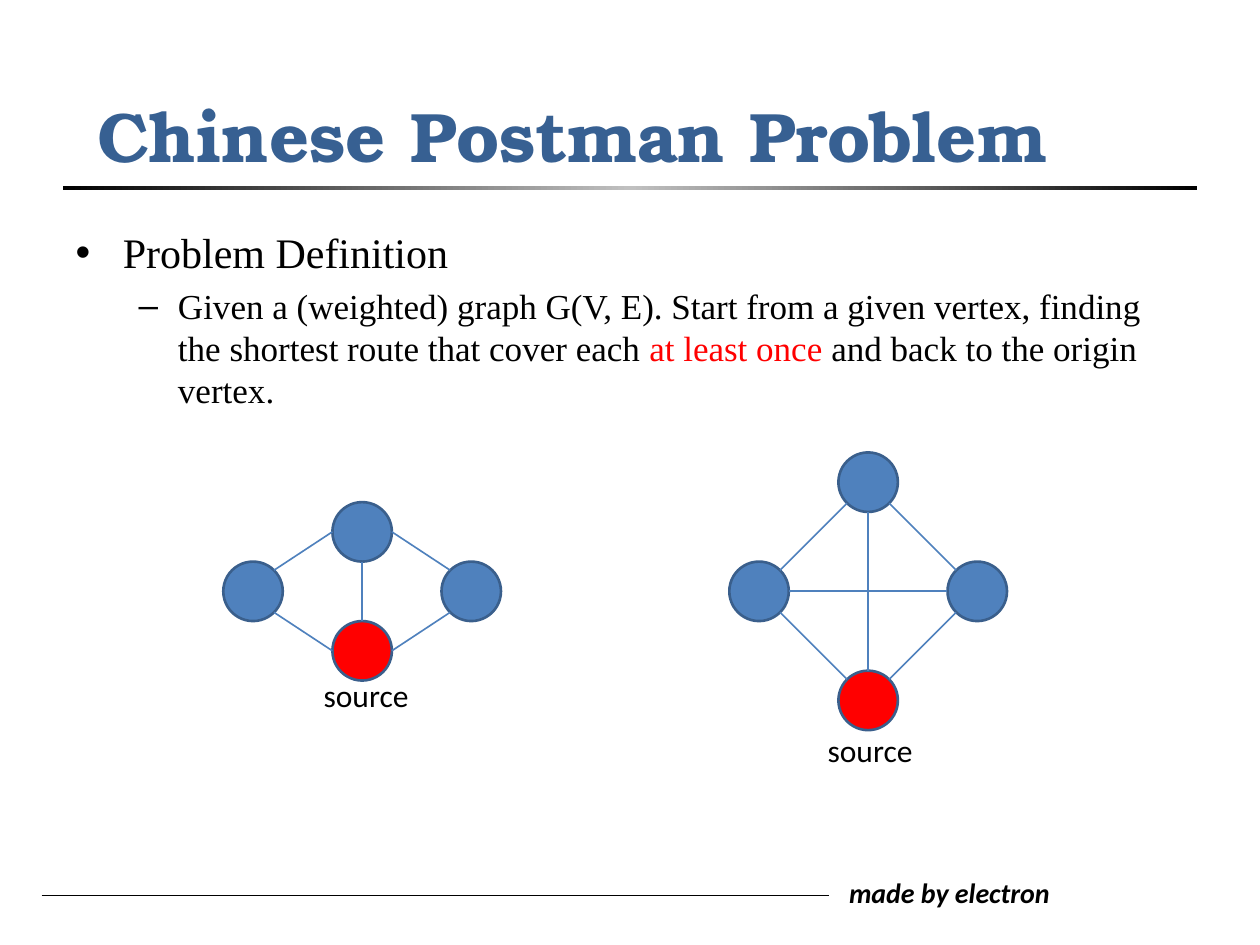
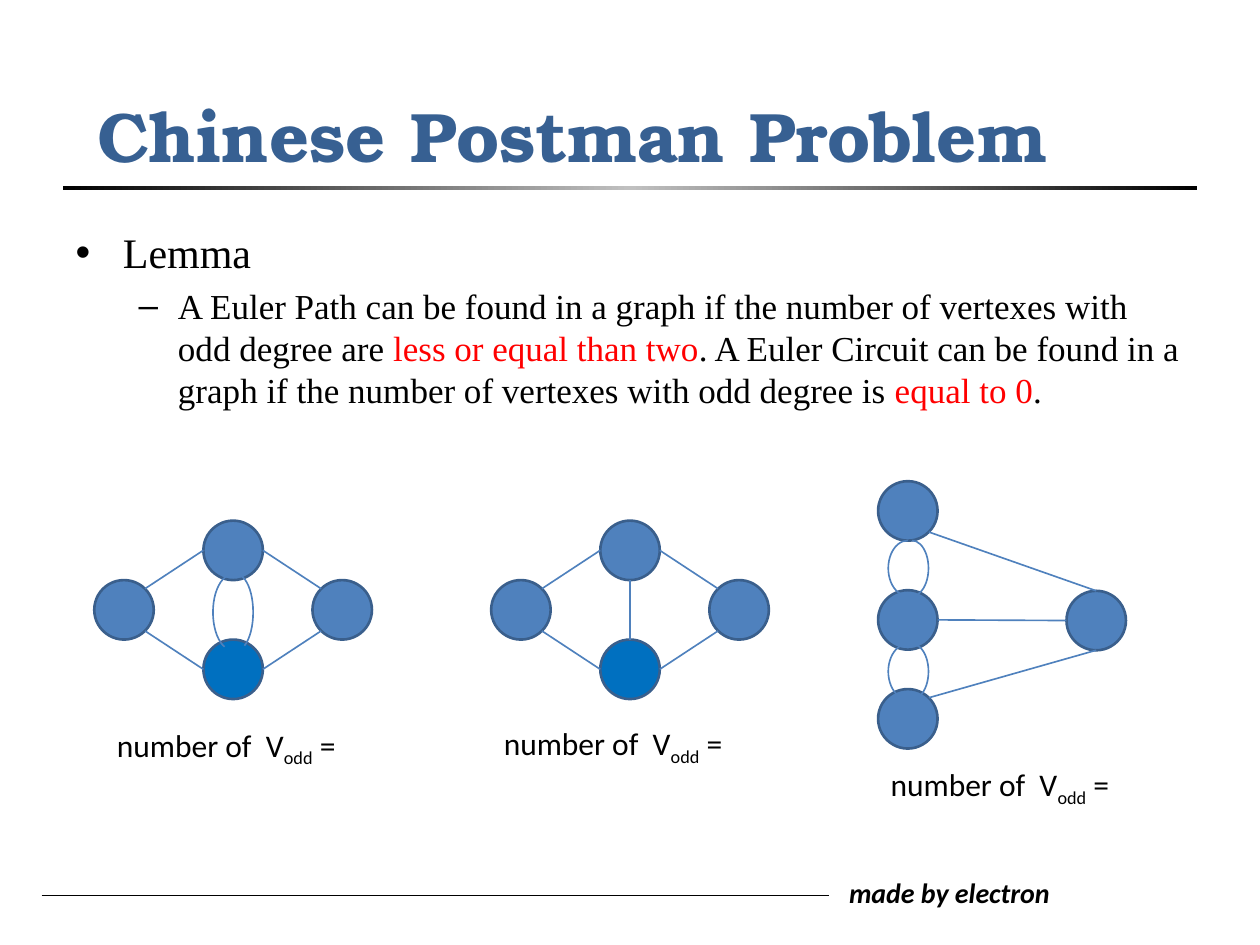
import copy

import pptx
import pptx.dml.color
import pptx.enum.shapes
import pptx.enum.text
import pptx.oxml.ns
import pptx.util
from lxml import etree

RGBColor = pptx.dml.color.RGBColor
SHAPE = pptx.enum.shapes.MSO_SHAPE
FIT = pptx.enum.text.MSO_AUTO_SIZE

BLACK = RGBColor(0x00, 0x00, 0x00)
SILVER = RGBColor(0xC0, 0xC0, 0xC0)
RED = RGBColor(0xFF, 0x00, 0x00)
NAVY = RGBColor(0x37, 0x60, 0x92)
BLUE = RGBColor(0x4F, 0x81, 0xBD)
RIM = RGBColor(0x3A, 0x5F, 0x8C)
AZURE = RGBColor(0x00, 0x70, 0xC0)

TITLE_FONT, BODY_FONT, LABEL_FONT = "TeX Gyre Bonum", "Times New Roman", "Calibri"

# The slide is a grid of 100 columns by 75 rows; all lengths count its cells.
COLUMNS, ROWS = 100, 75
CELL = pptx.util.Inches(10) // COLUMNS
NODE = 4.72
EDGE_WIDTH = 0.94

TITLE = "Chinese Postman Problem"
FOOTER = "made by electron"
TITLE_AREA = (0.4, 4.4, 90, 12.5)
SOURCE = [("source", False)]
ODD_COUNT = [("number of  V", False), ("odd", True), (" =", False)]

# Compass points on a circle of radius 1.
COMPASS = {"N": (0, -1), "S": (0, 1), "W": (-1, 0), "E": (1, 0),
           "NW": (-0.71, -0.71), "NE": (0.71, -0.71),
           "SW": (-0.71, 0.71), "SE": (0.71, 0.71)}

# Edges: node, its compass point, other node, its compass point.
FLAT_RIM = [("left", "NE", "top", "W"), ("left", "SE", "bottom", "W"),
            ("top", "E", "right", "NW"), ("bottom", "E", "right", "SW")]
TALL_RIM = [("left", "NE", "top", "SW"), ("left", "SE", "bottom", "NW"),
            ("top", "SE", "right", "NW"), ("bottom", "NE", "right", "SW")]
UPRIGHT = [("top", "S", "bottom", "N")]
ACROSS = [("left", "E", "right", "W")]
FAN = [("middle", "E", "right", "W"), ("top", "SE", "right", "N"),
       ("bottom", "NE", "right", "S")]


def diamond(column, row, half_height):
    """Return four named node centres around a middle point."""
    half_width = 8.66
    return {"left": (column - half_width, row), "top": (column, row - half_height),
            "right": (column + half_width, row), "bottom": (column, row + half_height)}


# Loops are pairs of arcs: centre column, top row, height.
PAGES = [
    {"points": [("Problem Definition", 0, []),
                ("Given a (weighted) graph G(V, E). Start from a given vertex, finding "
                 "the shortest route that cover each |at least once |"
                 "and back to the origin vertex.", 1, [1])],
     "body": (5, 17.5, 90, 49.5),
     "graphs": [
         {"nodes": diamond(28.74, 46.93, 4.72), "special": RED,
          "edges": FLAT_RIM + UPRIGHT, "loops": [],
          "caption": SOURCE, "caption_area": (24.7, 53.2, 15, 4)},
         {"nodes": diamond(68.9, 46.93, 8.66), "special": RED,
          "edges": TALL_RIM + UPRIGHT + ACROSS, "loops": [],
          "caption": SOURCE, "caption_area": (64.7, 57.5, 15, 4)}]},
    {"points": [("Lemma", 0, []),
                ("A Euler Path can be found in a graph if the number of vertexes with "
                 "odd degree are |less or equal than two|. A Euler Circuit can be found "
                 "in a graph if the number of vertexes with odd degree is "
                 "|equal to 0|. ", 1, [1, 3])],
     "body": (5, 17.5, 90, 18.4),
     "graphs": [
         {"nodes": diamond(18.5, 48.4, 4.72), "special": AZURE,
          "edges": FLAT_RIM, "loops": [(18.45, 45.6, 6)],
          "caption": ODD_COUNT, "caption_area": (8.3, 57.1, 22, 4)},
         {"nodes": diamond(50, 48.4, 4.72), "special": AZURE,
          "edges": FLAT_RIM + UPRIGHT, "loops": [],
          "caption": ODD_COUNT, "caption_area": (39, 57, 22, 4)},
         {"nodes": {"middle": (72.05, 49.2), "top": (72.05, 40.55),
                    "bottom": (72.05, 57.05), "right": (87, 49.25)},
          "special": BLUE, "edges": FAN,
          "loops": [(72.05, 42.9, 4.4), (72.05, 51.1, 4.4)],
          "caption": ODD_COUNT, "caption_area": (69.7, 60.2, 22, 4)}]},
]


def cells(*lengths):
    """Turn grid lengths into slide units."""
    return [round(length * CELL) for length in lengths]


def set_font(font, name, size, color, bold=None, italic=None):
    """Set the face, size, colour and style of a font."""
    font.name, font.size = name, pptx.util.Pt(size)
    font.color.rgb, font.bold, font.italic = color, bold, italic


def place(shape, area):
    """Move a shape to a grid area."""
    shape.left, shape.top, shape.width, shape.height = cells(*area)


def add_line(page, start, end, color, width):
    """Draw a straight line without shadow between two grid points."""
    line = page.shapes.add_connector(
        pptx.enum.shapes.MSO_CONNECTOR.STRAIGHT, *cells(*start, *end))
    line.line.color.rgb, line.line.width = color, pptx.util.Pt(width)
    etree.SubElement(line._element.spPr, pptx.oxml.ns.qn("a:effectLst"))
    return line


def add_label(page, area, spans, size, bold=None, italic=None):
    """Add a text box; spans are pairs of text and whether it is a subscript."""
    box = page.shapes.add_textbox(*cells(*area))
    box.text_frame.word_wrap = True
    box.text_frame.auto_size = FIT.SHAPE_TO_FIT_TEXT
    para = box.text_frame.paragraphs[0]
    set_font(para.font, LABEL_FONT, size, BLACK, bold, italic)
    for text, subscript in spans:
        span = para.add_run()
        span.text = text
        if subscript:
            span._r.get_or_add_rPr().set("baseline", "-25000")
    return box


def add_rule(page):
    """Draw the bar under the title, black fading to silver and back."""
    bar = page.shapes.add_shape(SHAPE.RECTANGLE, *cells(5, 14.8, 90, 0.3))
    bar.shadow.inherit = False
    bar.line.fill.background()
    bar.fill.gradient()
    bar.fill.gradient_angle = 0
    last = bar.fill.gradient_stops[1]._gs
    last.addprevious(copy.deepcopy(last))
    for stop, color, position in zip(
            bar.fill.gradient_stops, (BLACK, SILVER, BLACK), (0, 0.5, 1)):
        stop.color.rgb, stop.position = color, position
    return bar


def dress_layout(page, layout):
    """Put the footer and title bar on the layout that all slides share."""
    for shape in (add_line(page, (3.3, 71.1), (65.8, 71.1), BLACK, 0.5),
                  add_label(page, (66.4, 69, 21.9, 3.7), [(FOOTER, False)], 16, True, True),
                  add_rule(page)):
        layout.shapes._spTree.append(shape._element)
    place(layout.placeholders[0], TITLE_AREA)


def fill_title(page):
    """Write and format the slide title."""
    frame = page.shapes.title.text_frame
    frame.text = TITLE
    frame.auto_size = FIT.NONE
    frame.vertical_anchor = pptx.enum.text.MSO_ANCHOR.MIDDLE
    para = frame.paragraphs[0]
    para.alignment = pptx.enum.text.PP_ALIGN.CENTER
    set_font(para.font, TITLE_FONT, 40, NAVY, True)


def fill_body(page, points, area):
    """Write the bullets; bars split a text into spans, some of them red."""
    body = page.placeholders[1]
    place(body, area)
    frame = body.text_frame
    frame.auto_size = FIT.NONE
    for index, (text, level, red_spans) in enumerate(points):
        para = frame.add_paragraph() if index else frame.paragraphs[0]
        para.level = level
        set_font(para.font, BODY_FONT, (24, 20)[level], BLACK)
        for number, part in enumerate(text.split("|")):
            span = para.add_run()
            span.text = part
            if number in red_spans:
                span.font.color.rgb = RED


def add_node(page, center, color):
    """Draw one vertex as a circle."""
    column, row = center
    node = page.shapes.add_shape(
        SHAPE.OVAL, *cells(column - NODE / 2, row - NODE / 2, NODE, NODE))
    node.shadow.inherit = False
    node.fill.solid()
    node.fill.fore_color.rgb = color
    node.line.color.rgb, node.line.width = RIM, pptx.util.Pt(1.5)


def add_loop(page, column, top, height):
    """Draw a double edge as two arcs that bulge apart."""
    for left, width, flipped in ((column - 0.95, 2.6, False), (column - 1.55, 3.1, True)):
        arc = page.shapes.add_shape(SHAPE.ARC, *cells(left, top, width, height))
        arc.adjustments[0], arc.adjustments[1] = 162, 46.214
        arc.shadow.inherit = False
        arc.fill.background()
        arc.line.color.rgb, arc.line.width = BLUE, pptx.util.Pt(EDGE_WIDTH)
        if flipped:
            arc._element.spPr.xfrm.set("flipH", "1")


def rim_point(center, direction):
    """Return the point of a vertex's rim in a compass direction."""
    return [middle + step * NODE / 2 for middle, step in zip(center, COMPASS[direction])]


def add_graph(page, graph):
    """Draw the vertices, edges, loops and caption of one graph."""
    nodes = graph["nodes"]
    for name, center in nodes.items():
        add_node(page, center, graph["special"] if name == "bottom" else BLUE)
    for first, leaving, second, entering in graph["edges"]:
        add_line(page, rim_point(nodes[first], leaving),
                 rim_point(nodes[second], entering), BLUE, EDGE_WIDTH)
    for loop in graph["loops"]:
        add_loop(page, *loop)
    add_label(page, graph["caption_area"], graph["caption"], 18)


deck = pptx.Presentation()
deck.slide_width, deck.slide_height = cells(COLUMNS, ROWS)
layout = deck.slide_layouts[1]
for number, content in enumerate(PAGES):
    page = deck.slides.add_slide(layout)
    if number == 0:
        dress_layout(page, layout)
    fill_title(page)
    fill_body(page, content["points"], content["body"])
    for graph in content["graphs"]:
        add_graph(page, graph)
deck.save("out.pptx")
